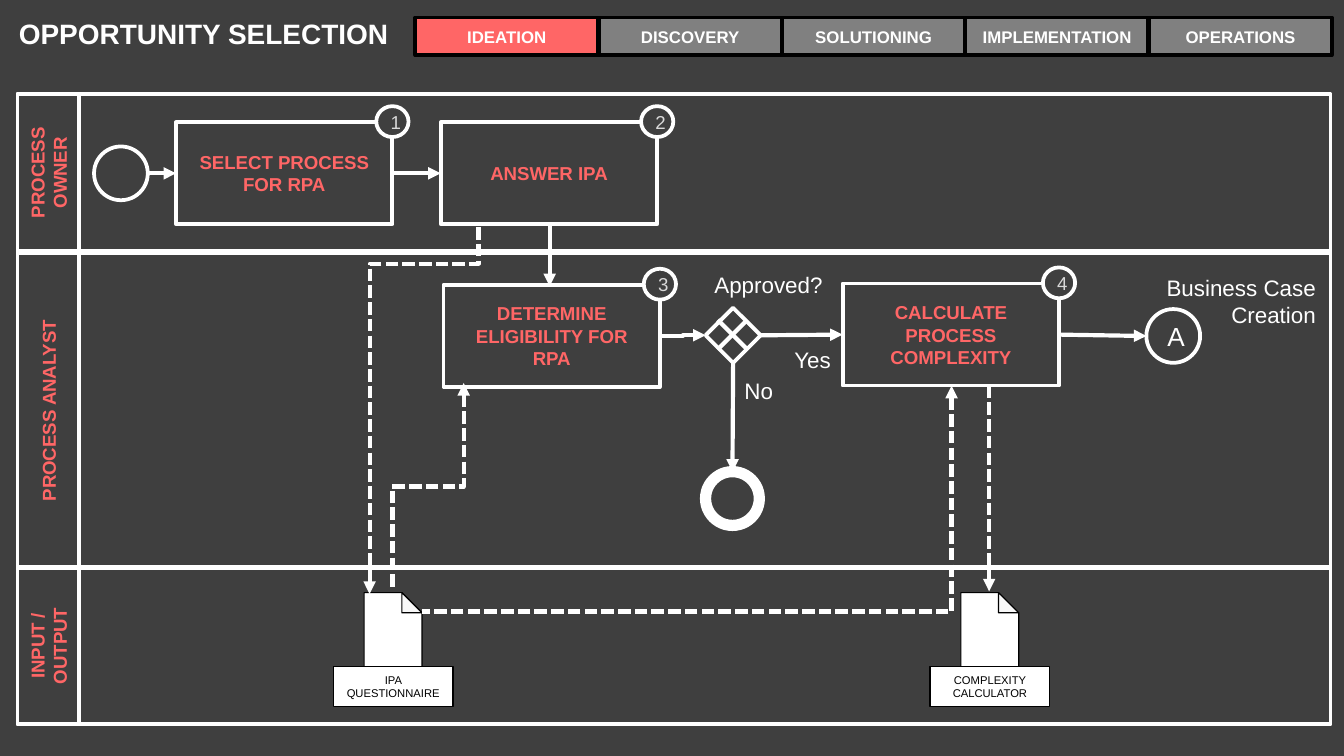
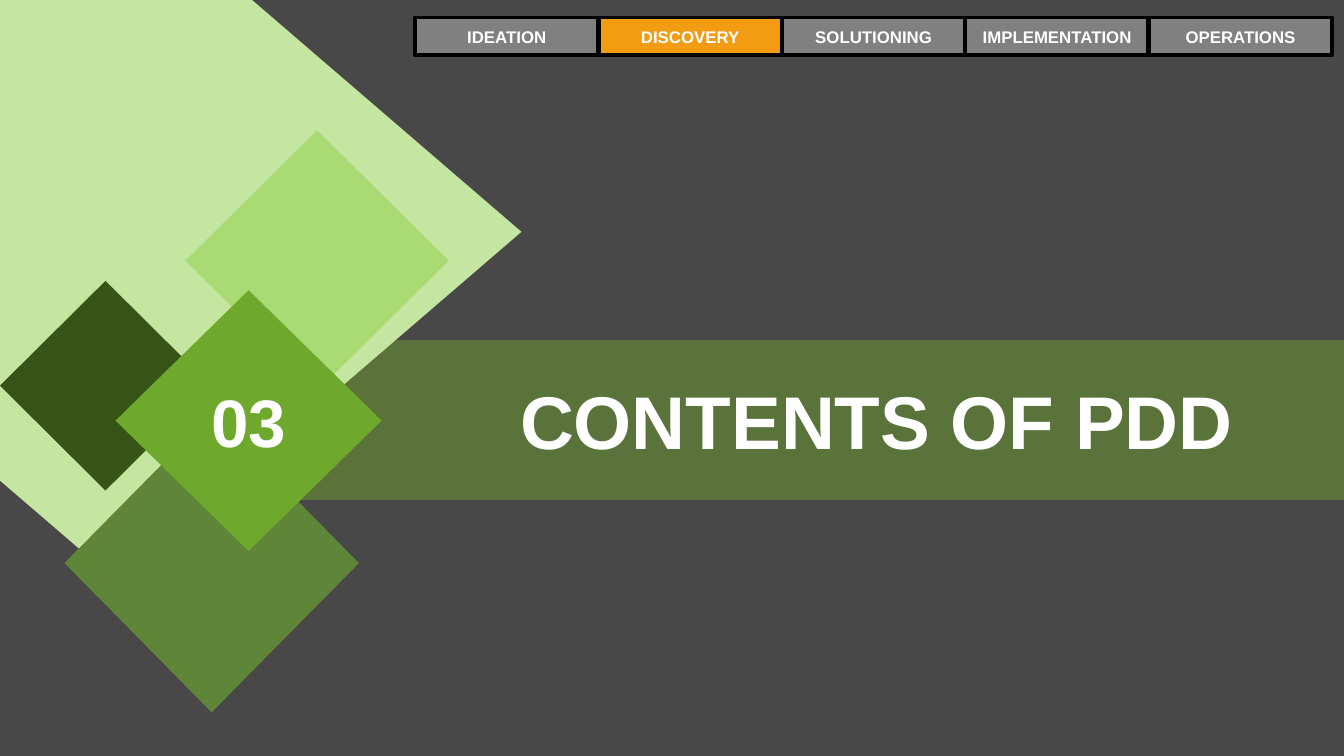
from typing import NamedTuple, Optional

from pptx import Presentation
from pptx.dml.color import RGBColor
from pptx.enum.dml import MSO_LINE
from pptx.enum.shapes import MSO_CONNECTOR, MSO_SHAPE
from pptx.enum.text import MSO_ANCHOR, MSO_AUTO_SIZE, PP_ALIGN
from pptx.oxml.ns import qn
from pptx.oxml.xmlchemy import OxmlElement
from pptx.shapes.autoshape import Shape
from pptx.shapes.connector import Connector
from pptx.slide import Slide
from pptx.util import Inches, Pt

COLORS = {
    "background": "3F3F3F", "white": "FFFFFF", "black": "000000",
    "coral": "FF6666", "orange": "F39C11", "gray": "808080",
    "number": "D9D9D9", "fold": "F8F8F8", "green": "6EA92D",
    "pale": "C5E6A1", "moss": "5F8638", "forest": "375417", "lime": "A9DA73",
}
FONT = "Arial"
STAGES = ["IDEATION", "DISCOVERY", "SOLUTIONING", "IMPLEMENTATION", "OPERATIONS"]
TOP, LEFT, BOTTOM, RIGHT = range(4)
SIDE_FRACTIONS = [(0.5, 0), (0, 0.5), (0.5, 1), (1, 0.5)]


class Box(NamedTuple):
    left: float
    top: float
    width: float
    height: float


class TextStyle(NamedTuple):
    size: float
    color: str = "white"
    bold: bool = False
    align: PP_ALIGN = PP_ALIGN.CENTER


class Outline(NamedTuple):
    color: str = "white"
    width: float = 2


class Lane(NamedTuple):
    label: str
    top: float
    height: float


class Step(NamedTuple):
    label: str
    left: float
    top: float


class Document(NamedTuple):
    label: str
    left: float
    top: float


class Caption(NamedTuple):
    words: str
    box: Box
    wrap: bool


class Diamond(NamedTuple):
    color: str
    box: Box


class Anchor(NamedTuple):
    shape: Shape
    side: int


class DownwardFlow(NamedTuple):
    start: tuple[float, float]
    end: tuple[float, float]
    bend: Optional[float]
    arrow: str
    dashed: bool = True


LABEL = TextStyle(10, "coral", True)
LANES = [Lane("PROCESS OWNER", 0.7, 1.17), Lane("PROCESS ANALYST", 1.88, 2.35),
         Lane("INPUT / OUTPUT", 4.22, 1.17)]
STEPS = [Step("SELECT PROCESS FOR RPA", 1.31, 0.91), Step("ANSWER IPA", 3.28, 0.91),
         Step("DETERMINE ELIGIBILITY FOR RPA", 3.3, 2.12),
         Step("CALCULATE PROCESS COMPLEXITY", 6.27, 2.11)]
DOCUMENTS = [Document("COMPLEXITY CALCULATOR", 7.15, 4.41),
             Document("IPA QUESTIONNAIRE", 2.71, 4.41)]
CAPTIONS = [Caption("Business Case Creation", Box(8.33, 1.99, 1.56, 0.5), True),
            Caption("Approved?", Box(5.18, 1.97, 1.04, 0.3), True),
            Caption("No", Box(5.43, 2.76, 0.42, 0.3), False),
            Caption("Yes", Box(5.79, 2.53, 0.49, 0.3), False)]
DOWNWARD_FLOWS = [DownwardFlow((4.08, 1.67), (4.09, 2.13), 0, "tailEnd", False),
                  DownwardFlow((3.45, 2.85), (2.92, 4.39), 0.5, "headEnd"),
                  DownwardFlow((3.56, 1.69), (2.75, 4.42), 0.1, "tailEnd"),
                  DownwardFlow((7.08, 2.87), (3.14, 4.55), None, "headEnd")]
DIAMONDS = [Diamond("pale", Box(-2.15, -0.87, 6.03, 5.19)),
            Diamond("moss", Box(0.48, 3.08, 2.19, 2.22)),
            Diamond("forest", Box(0, 2.09, 1.57, 1.56)),
            Diamond("lime", Box(1.38, 0.97, 1.96, 1.94))]


def rgb(name: str) -> RGBColor:
    return RGBColor.from_string(COLORS[name])


def write(shape: Shape, words: str, style: TextStyle) -> None:
    shape.text_frame.text = words
    paragraph = shape.text_frame.paragraphs[0]
    paragraph.alignment = style.align
    paragraph.font.name = FONT
    paragraph.font.size = Pt(style.size)
    paragraph.font.bold = style.bold
    paragraph.font.color.rgb = rgb(style.color)


def paint(shape: Shape, fill: Optional[str], outline: Optional[Outline]) -> None:
    shape.shadow.inherit = False
    if fill:
        shape.fill.solid()
        shape.fill.fore_color.rgb = rgb(fill)
    else:
        shape.fill.background()
    if outline:
        shape.line.color.rgb = rgb(outline.color)
        shape.line.width = Pt(outline.width)
    else:
        shape.line.fill.background()


def add_block(slide: Slide, kind: MSO_SHAPE, box: Box, fill: Optional[str] = None,
              outline: Optional[Outline] = Outline(), words: str = "",
              style: TextStyle = LABEL) -> Shape:
    block = slide.shapes.add_shape(kind, *map(Inches, box))
    paint(block, fill, outline)
    if words:
        write(block, words, style)
    return block


def set_alpha(element, percent: int) -> None:
    alpha = OxmlElement("a:alpha")
    alpha.set("val", str(percent * 1000))
    next(element.iter(qn("a:srgbClr"))).append(alpha)


def add_title(slide: Slide, words: str, box: Box, size: float, margin: float) -> None:
    title = slide.shapes.title
    title.left, title.top, title.width, title.height = map(Inches, box)
    frame = title.text_frame
    frame.auto_size = MSO_AUTO_SIZE.NONE
    frame.word_wrap = True
    frame.vertical_anchor = MSO_ANCHOR.TOP
    frame.margin_top = frame.margin_bottom = Inches(margin)
    write(title, words, TextStyle(size, bold=True, align=PP_ALIGN.LEFT))
    title.element.getparent().append(title.element)


def add_stage_bar(slide: Slide, active: str, highlight: str) -> None:
    for stage in sorted(STAGES, key=lambda name: name == active):
        add_block(slide, MSO_SHAPE.RECTANGLE,
                  Box(3.09 + 1.365 * STAGES.index(stage), 0.13, 1.36, 0.28),
                  highlight if stage == active else "gray", Outline("black"),
                  stage, TextStyle(9, bold=True))


def add_lane(slide: Slide, lane: Lane) -> None:
    left, strip = 0.13, 0.46
    add_block(slide, MSO_SHAPE.RECTANGLE, Box(left, lane.top, 9.77, lane.height))
    shift = (lane.height - strip) / 2
    label = add_block(slide, MSO_SHAPE.RECTANGLE,
                      Box(left - shift, lane.top + shift, lane.height, strip),
                      words=lane.label)
    label.rotation = 270


def add_step(slide: Slide, number: int, step: Step) -> Shape:
    activity = add_block(slide, MSO_SHAPE.RECTANGLE,
                         Box(step.left, step.top, 1.61, 0.76), words=step.label)
    add_block(slide, MSO_SHAPE.OVAL, Box(step.left + 1.49, step.top - 0.12, 0.24, 0.23),
              "background", words=str(number), style=TextStyle(10, "number"))
    return activity


def add_document(slide: Slide, document: Document) -> None:
    fold, right, bottom = 0.28, 0.43, 0.58
    corner = 0.15
    outlines = [("white", [(fold, 0), (0, 0), (0, bottom), (right, bottom), (right, corner)]),
                ("fold", [(fold, 0), (fold, corner), (right, corner)])]
    for fill, offsets in outlines:
        points = [(Inches(document.left + x), Inches(document.top + y)) for x, y in offsets]
        builder = slide.shapes.build_freeform(*points[0])
        builder.add_line_segments(points[1:], close=True)
        paint(builder.convert_to_shape(), fill, Outline("black", 0.63))
    label = add_block(slide, MSO_SHAPE.RECTANGLE,
                      Box(document.left - 0.23, document.top + 0.55, 0.89, 0.3),
                      "white", Outline("black", 0.75), document.label, TextStyle(6, "black"))
    label.text_frame.vertical_anchor = MSO_ANCHOR.TOP


def add_caption(slide: Slide, caption: Caption) -> None:
    note = slide.shapes.add_textbox(*map(Inches, caption.box))
    note.text_frame.word_wrap = caption.wrap
    write(note, caption.words, TextStyle(12, align=PP_ALIGN.RIGHT))


def style_connector(connector: Connector, dashed: bool = False,
                    arrow: Optional[str] = "tailEnd") -> None:
    connector.line.color.rgb = rgb("white")
    connector.line.width = Pt(2.25)
    if dashed:
        connector.line.dash_style = MSO_LINE.SQUARE_DOT
    properties = connector.element.spPr
    if arrow:
        end = OxmlElement(f"a:{arrow}")
        end.set("type", "triangle")
        properties.find(qn("a:ln")).append(end)
    properties.append(OxmlElement("a:effectLst"))


def add_straight(slide: Slide, start: tuple[float, float], end: tuple[float, float],
                 dashed: bool = False, arrow: Optional[str] = "tailEnd") -> None:
    line = slide.shapes.add_connector(MSO_CONNECTOR.STRAIGHT, *map(Inches, (*start, *end)))
    style_connector(line, dashed, arrow)


def side_point(anchor: Anchor) -> tuple[int, int]:
    across, down = SIDE_FRACTIONS[anchor.side]
    shape = anchor.shape
    return int(shape.left + shape.width * across), int(shape.top + shape.height * down)


def add_sequence_flow(slide: Slide, kind: MSO_CONNECTOR, start: Anchor, end: Anchor) -> None:
    flow = slide.shapes.add_connector(kind, *side_point(start), *side_point(end))
    for anchor, join in ((start, flow.begin_connect), (end, flow.end_connect)):
        if anchor.shape.auto_shape_type != MSO_SHAPE.OVAL:
            join(anchor.shape, anchor.side)
    style_connector(flow)


def add_downward_flow(slide: Slide, flow: DownwardFlow) -> None:
    (x1, y1), (x2, y2) = flow.start, flow.end
    length, drift = y2 - y1, x1 - x2
    left, top = (x1 + x2 - length) / 2, (y1 + y2 - drift) / 2
    elbow = slide.shapes.add_connector(
        MSO_CONNECTOR.ELBOW, *map(Inches, (left, top, left + length, top + drift)))
    properties = elbow.element.spPr
    properties.find(qn("a:xfrm")).set("rot", str(90 * 60000))
    geometry = properties.find(qn("a:prstGeom"))
    if flow.bend is None:
        geometry.set("prst", "bentConnector2")
    else:
        guide = OxmlElement("a:gd")
        guide.set("name", "adj1")
        guide.set("fmla", f"val {round(flow.bend * 100000)}")
        geometry.find(qn("a:avLst")).append(guide)
    style_connector(elbow, flow.dashed, flow.arrow)


def add_slide(deck: Presentation) -> Slide:
    slide = deck.slides.add_slide(deck.slide_layouts[5])
    slide.background.fill.solid()
    slide.background.fill.fore_color.rgb = rgb("background")
    return slide


def build_opportunity_selection(deck: Presentation) -> None:
    slide = add_slide(deck)
    add_stage_bar(slide, "IDEATION", "coral")
    for lane in LANES:
        add_lane(slide, lane)
    select, answer, determine, calculate = [
        add_step(slide, number, step) for number, step in enumerate(STEPS, 1)]
    for document in DOCUMENTS:
        add_document(slide, document)
    begin = add_block(slide, MSO_SHAPE.OVAL, Box(0.7, 1.09, 0.4, 0.4))
    finish = add_block(slide, MSO_SHAPE.OVAL, Box(5.25, 3.51, 0.4, 0.4),
                       outline=Outline(width=6))
    business_case = add_block(slide, MSO_SHAPE.OVAL, Box(8.53, 2.3, 0.4, 0.4),
                              words="A", style=TextStyle(14))
    approval = add_block(slide, MSO_SHAPE.FLOWCHART_DECISION, Box(5.25, 2.29, 0.41, 0.41))
    for rise in (-0.11, 0.11):
        add_straight(slide, (5.34, 2.49 + rise), (5.56, 2.49 - rise), arrow=None)
    elbow, straight = MSO_CONNECTOR.ELBOW, MSO_CONNECTOR.STRAIGHT
    for kind, start, end in [
        (elbow, Anchor(begin, RIGHT), Anchor(select, LEFT)),
        (elbow, Anchor(select, RIGHT), Anchor(answer, LEFT)),
        (elbow, Anchor(determine, RIGHT), Anchor(approval, LEFT)),
        (straight, Anchor(approval, RIGHT), Anchor(calculate, LEFT)),
        (straight, Anchor(approval, BOTTOM), Anchor(finish, TOP)),
        (straight, Anchor(calculate, RIGHT), Anchor(business_case, LEFT)),
    ]:
        add_sequence_flow(slide, kind, start, end)
    for flow in DOWNWARD_FLOWS:
        add_downward_flow(slide, flow)
    add_straight(slide, (7.36, 2.87), (7.36, 4.4), dashed=True)
    for caption in CAPTIONS:
        add_caption(slide, caption)
    add_title(slide, "OPPORTUNITY SELECTION", Box(0.04, 0.02, 3.21, 0.63), 15, 0.1)


def build_section(deck: Presentation) -> None:
    slide = add_slide(deck)
    set_alpha(slide.element, 95)
    band = add_block(slide, MSO_SHAPE.RECTANGLE, Box(1.87, 2.53, 8.13, 1.19), "green", None)
    set_alpha(band.element, 45)
    for diamond in DIAMONDS:
        add_block(slide, MSO_SHAPE.FLOWCHART_DECISION, diamond.box, diamond.color, None)
    add_stage_bar(slide, "DISCOVERY", "orange")
    add_block(slide, MSO_SHAPE.FLOWCHART_DECISION, Box(0.86, 2.16, 1.98, 1.94), "green",
              None, "03", TextStyle(36, bold=True))
    add_title(slide, "CONTENTS OF PDD", Box(3.77, 2.74, 5.56, 0.77), 40, 0.05)


def main() -> None:
    deck = Presentation()
    deck.slide_width = Inches(10)
    deck.slide_height = deck.slide_width * 9 // 16
    build_opportunity_selection(deck)
    build_section(deck)
    deck.save("out.pptx")


if __name__ == "__main__":
    main()
